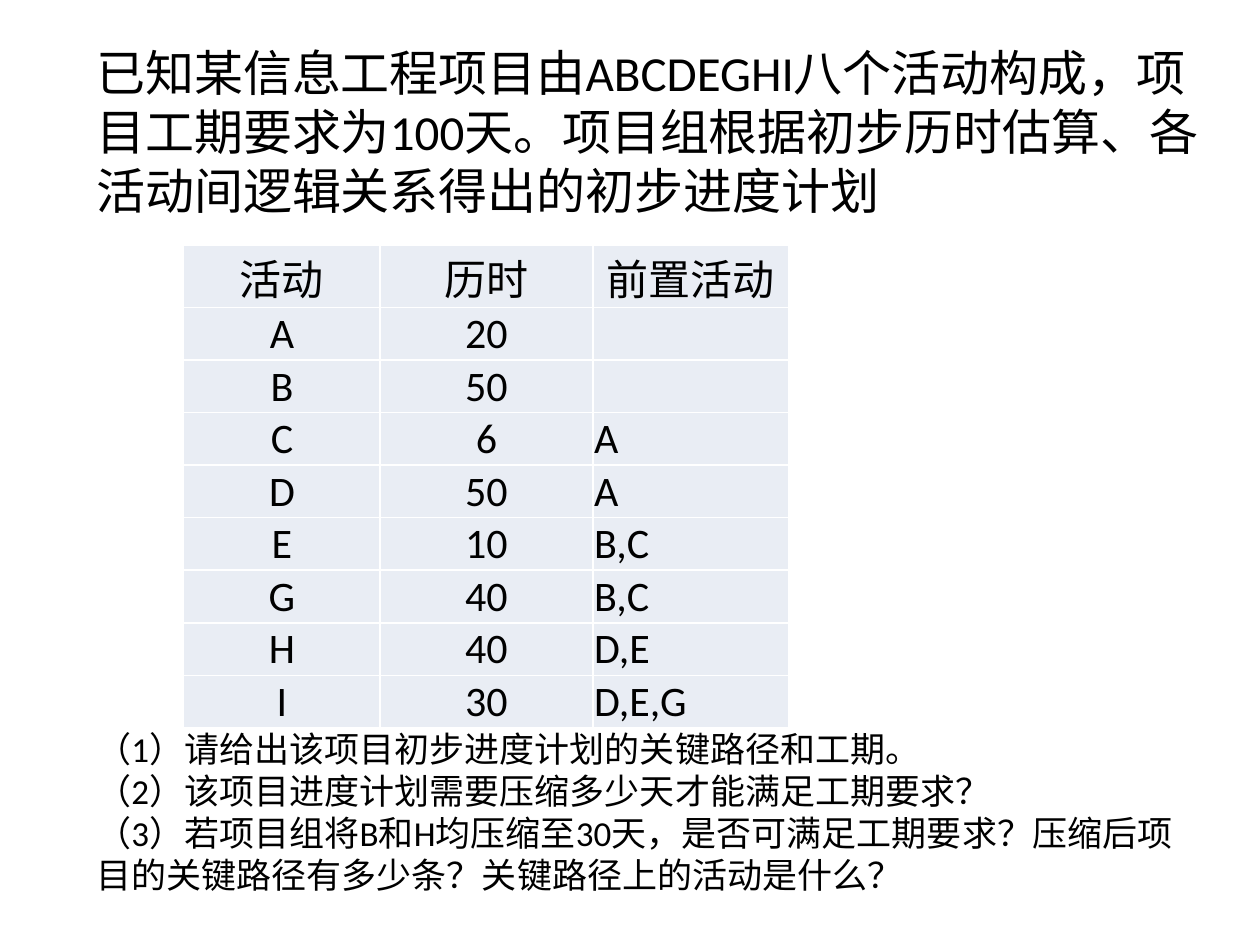
import dataclasses

import pptx
import pptx.dml.color
import pptx.enum.text
import pptx.util

Pt = pptx.util.Pt
ALIGN = pptx.enum.text.PP_ALIGN


@dataclasses.dataclass(frozen=True)
class Theme:
    """Hold the colours, font and type sizes."""
    font: str = "Calibri"
    ink: str = "000000"
    cell: str = "E9EDF4"
    lead: int = 28
    body: int = 24
    note: int = 20


THEME = Theme()

LEAD = ["已知某信息工程项目由ABCDEGHI八个活动构成，项目工期要求为100天。"
        "项目组根据初步历时估算、各活动间逻辑关系得出的初步进度计划"]

TASKS = [
    ("活动", "历时", "前置活动"),
    ("A", "20", ""),
    ("B", "50", ""),
    ("C", "6", "A"),
    ("D", "50", "A"),
    ("E", "10", "B,C"),
    ("G", "40", "B,C"),
    ("H", "40", "D,E"),
    ("I", "30", "D,E,G"),
]

ASKS = [
    "（1）请给出该项目初步进度计划的关键路径和工期。",
    "（2）该项目进度计划需要压缩多少天才能满足工期要求？",
    "（3）若项目组将B和H均压缩至30天，是否可满足工期要求？"
    "压缩后项目的关键路径有多少条？关键路径上的活动是什么？",
]


def style(para, size):
    """Set the font of a paragraph."""
    font = para.font
    font.name = THEME.font
    font.size = Pt(size)
    font.color.rgb = pptx.dml.color.RGBColor.from_string(THEME.ink)


def add_text(slide, box, lines, size):
    """Place a wrapped block of paragraphs in the box."""
    frame = slide.shapes.add_textbox(*map(Pt, box)).text_frame
    frame.word_wrap = True
    frame.auto_size = pptx.enum.text.MSO_AUTO_SIZE.SHAPE_TO_FIT_TEXT
    frame.text = "\n".join(lines)
    for para in frame.paragraphs:
        style(para, size)


def fill_cell(cell, text, align):
    """Write and format one table cell."""
    cell.text = text
    cell.fill.solid()
    cell.fill.fore_color.rgb = pptx.dml.color.RGBColor.from_string(THEME.cell)
    cell.vertical_anchor = pptx.enum.text.MSO_ANCHOR.MIDDLE
    cell.margin_left = cell.margin_right = cell.margin_top = Pt(0.75)
    cell.margin_bottom = 0
    para = cell.text_frame.paragraphs[0]
    para.alignment = align
    style(para, THEME.body)


def add_tasks(slide, box, rows, shares):
    """Place the activity table, its columns sharing the box width."""
    left, top, width, height = box
    frame = slide.shapes.add_table(len(rows), len(shares), *map(Pt, box))
    table = frame.table
    table.first_row = table.horz_banding = False
    for col, share in zip(table.columns, shares):
        col.width = Pt(width * share / sum(shares))
    for r, row in enumerate(rows):
        table.rows[r].height = Pt(27.5)
        for c, text in enumerate(row):
            left_set = r > 0 and c == len(row) - 1
            align = ALIGN.LEFT if left_set else ALIGN.CENTER
            fill_cell(table.cell(r, c), text, align)
    frame.height = Pt(height)


def main():
    """Build the slide and save it."""
    deck = pptx.Presentation()
    deck.slide_width, deck.slide_height = Pt(720), Pt(540)
    slide = deck.slides.add_slide(deck.slide_layouts[6])
    add_tasks(slide, (105, 140, 346, 263.5), TASKS, (12, 13, 12))
    add_text(slide, (48, 21, 646.5, 109), LEAD, THEME.lead)
    add_text(slide, (48, 412, 646.5, 104.5), ASKS, THEME.note)
    deck.save("out.pptx")


if __name__ == "__main__":
    main()
